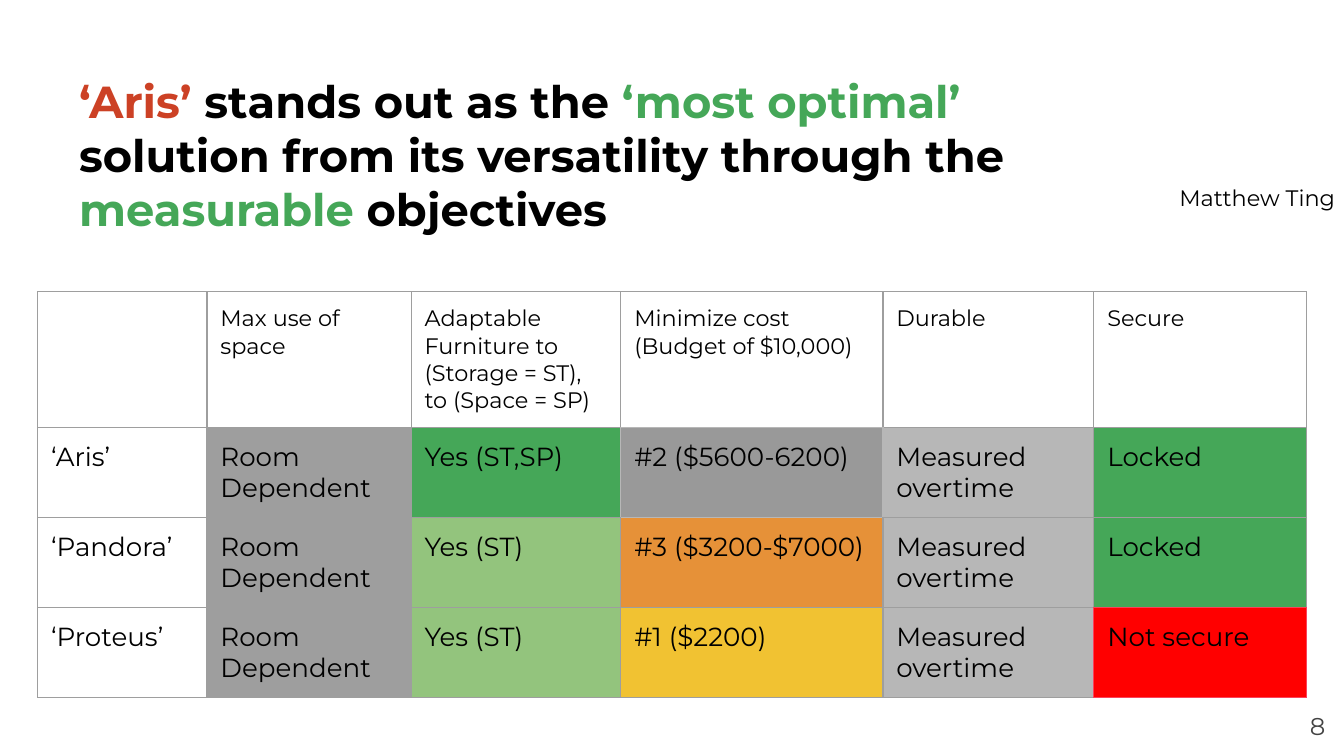
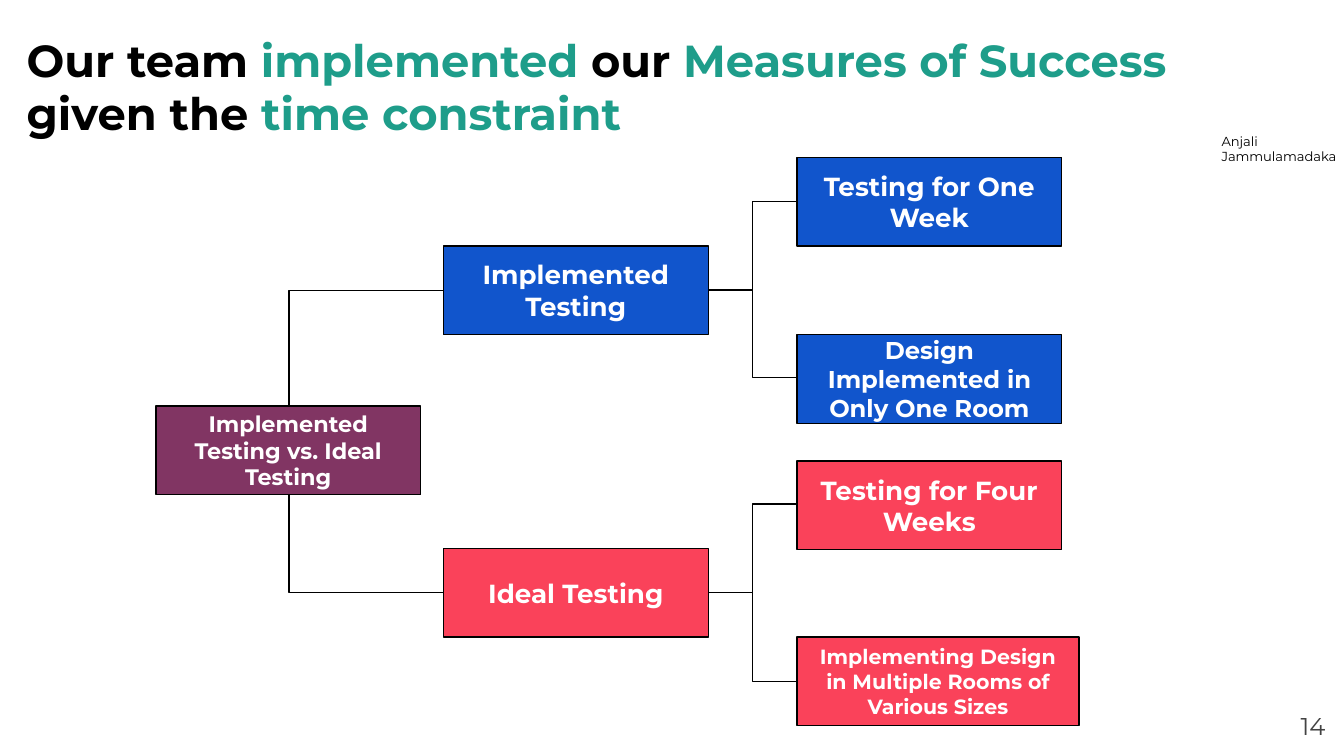
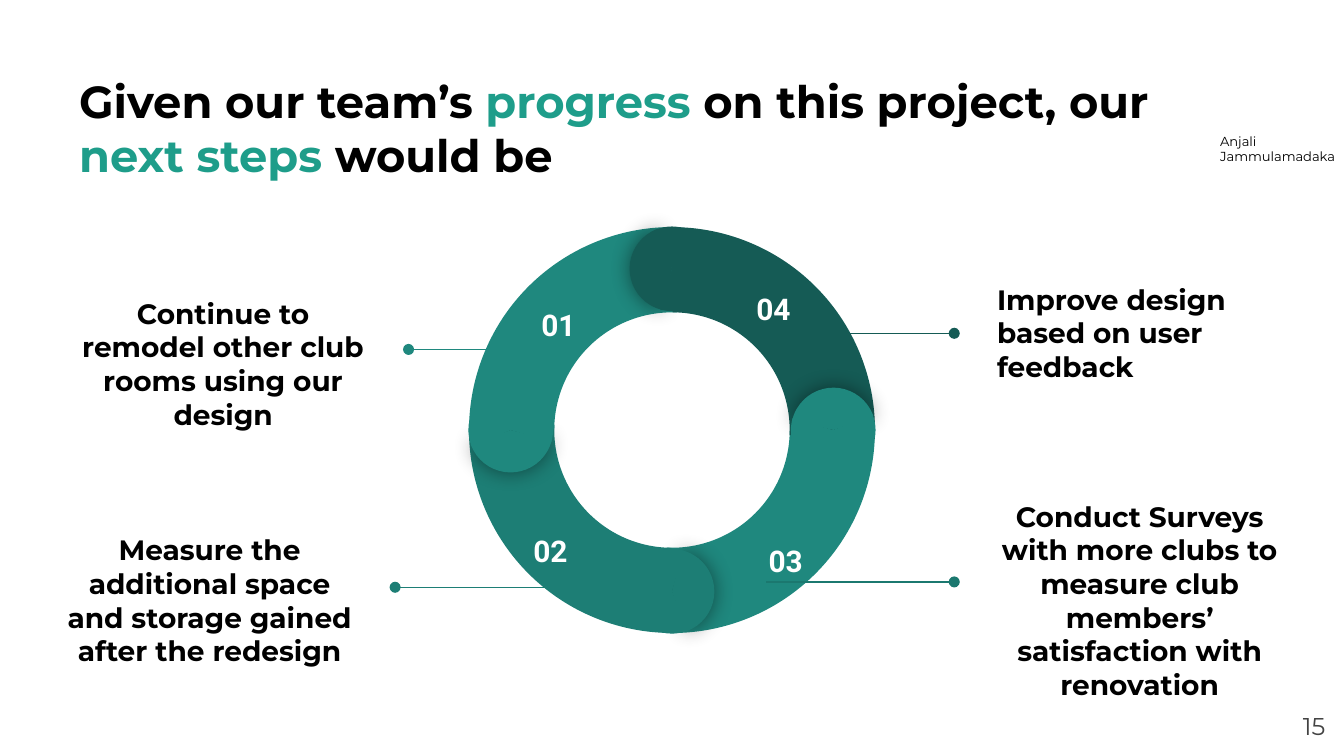
import math

import pptx
import pptx.util
import pptx.dml.color
import pptx.enum.shapes
import pptx.enum.text
import pptx.oxml
import pptx.oxml.ns
from lxml import etree

Inches = pptx.util.Inches
Pt = pptx.util.Pt
qn = pptx.oxml.ns.qn
color = pptx.dml.color.RGBColor.from_string
SHAPE = pptx.enum.shapes.MSO_SHAPE
CONNECTOR = pptx.enum.shapes.MSO_CONNECTOR
ALIGN = pptx.enum.text.PP_ALIGN
ANCHOR = pptx.enum.text.MSO_ANCHOR

BLACK, WHITE, DARK_GREY = "000000", "FFFFFF", "434343"
GREEN, TEAL, RUST = "45A758", "1E9D8A", "CC4125"
BLUE, CORAL, PLUM = "1155CC", "FA425A", "813563"
MID_GREY, STEEL, SILVER = "9E9E9E", "999999", "B7B7B7"
LIME, ORANGE, YELLOW, RED = "93C47D", "E69138", "F1C232", "FF0000"


def write(frame, lines, size, align=ALIGN.LEFT, bold=False, font="Montserrat", anchor=ANCHOR.TOP):
    frame.word_wrap = True
    frame.vertical_anchor = anchor
    frame.margin_left = frame.margin_right = Inches(0.1)
    frame.margin_top = frame.margin_bottom = Inches(0.1)
    for index, runs in enumerate(lines):
        paragraph = frame.add_paragraph() if index else frame.paragraphs[0]
        paragraph.alignment = align
        paragraph.font.name = font
        paragraph.font.size = Pt(size)
        paragraph.font.bold = bold
        for words, hue in runs:
            run = paragraph.add_run()
            run.text = words
            styled = run if len(runs) > 1 else paragraph
            styled.font.color.rgb = color(hue)


def connect(slide, kind, start, end, hue):
    link = slide.shapes.add_connector(kind, *map(Inches, start + end))
    link.line.color.rgb = color(hue)
    link.line.width = Pt(0.75)
    etree.SubElement(link._element.spPr, qn("a:effectLst"))
    return link


deck = pptx.Presentation()
deck.slide_width = Inches(10)
deck.slide_height = deck.slide_width * 9 // 16

openings = [
    ((0.49, 0.45, 8.09, 0.61), "8", "Matthew Ting", (8.22, 1.27, 2.27, 0.4), 12, ALIGN.CENTER,
     [("‘Aris’", RUST), (" stands out as the ", BLACK), ("‘most optimal’ ", GREEN),
      ("solution from its versatility through the ", BLACK), ("measurable", GREEN),
      (" objectives", BLACK)]),
    ((0.1, 0.14, 9.58, 0.7), "14", "Anjali Jammulamadaka", (8.99, 0.9, 1.18, 0.19), 7, ALIGN.LEFT,
     [("Our team ", BLACK), ("implemented", TEAL), (" our ", BLACK),
      ("Measures of Success", TEAL), (" given the ", BLACK), ("time constraint", TEAL)]),
    ((0.49, 0.45, 9.01, 0.61), "15", "Anjali Jammulamadaka", (8.98, 0.9, 1.18, 0.19), 7, ALIGN.LEFT,
     [("Given our team’s ", BLACK), ("progress ", TEAL), ("on this project, our ", BLACK),
      ("next steps", TEAL), (" would be", BLACK)]),
]
for title_box, number, presenter, presenter_box, presenter_size, presenter_align, title in openings:
    slide = deck.slides.add_slide(deck.slide_layouts[6])
    heading = slide.shapes.add_textbox(*map(Inches, title_box))
    write(heading.text_frame, [title], 24, bold=True)
    page = slide.shapes.add_textbox(*map(Inches, (9.36, 5.19, 0.6, 0.43)))
    write(page.text_frame, [[(number, DARK_GREY)]], 13, ALIGN.RIGHT)
    credit = slide.shapes.add_textbox(*map(Inches, presenter_box))
    write(credit.text_frame, [[(presenter, BLACK)]], presenter_size, presenter_align)

comparison_slide, testing_slide, next_steps_slide = deck.slides

ROOM, OVERTIME = ("Room\nDependent", MID_GREY), ("Measured overtime", SILVER)
criteria = [
    [("", None), ("Max use of space", None),
     ("Adaptable Furniture to (Storage = ST), to (Space = SP)", None),
     ("Minimize cost (Budget of $10,000)", None), ("Durable", None), ("Secure", None)],
    [("‘Aris’", None), ("Room Dependent", MID_GREY), ("Yes (ST,SP)", GREEN),
     ("#2 ($5600-6200)", STEEL), OVERTIME, ("Locked", GREEN)],
    [("‘Pandora’", None), ROOM, ("Yes (ST)", LIME), ("#3 ($3200-$7000)", ORANGE),
     OVERTIME, ("Locked", GREEN)],
    [("‘Proteus’", None), ROOM, ("Yes (ST)", LIME), ("#1 ($2200)", YELLOW),
     OVERTIME, ("Not secure", RED)],
]
column_widths = [1.26, 1.52, 1.56, 1.95, 1.57, 1.58]
row_heights = [1.01, 0.67, 0.67, 0.67]
accent_borders = {(1, 3): SILVER, (3, 5): CORAL}
sides = {"a:lnL": (0, -1), "a:lnR": (0, 1), "a:lnT": (-1, 0), "a:lnB": (1, 0)}

table = comparison_slide.shapes.add_table(
    len(row_heights), len(column_widths), Inches(0.28), Inches(2.17),
    Inches(sum(column_widths)), Inches(sum(row_heights))).table
table.first_row = False
table.horz_banding = False
for column, width in zip(table.columns, column_widths):
    column.width = Inches(width)
for row, height in zip(table.rows, row_heights):
    row.height = Inches(height)
for r, entries in enumerate(criteria):
    for c, (words, fill) in enumerate(entries):
        cell = table.cell(r, c)
        cell.margin_top = cell.margin_bottom = Inches(0.1)
        if words:
            lines = [[(line, BLACK)] for line in words.split("\n")]
            write(cell.text_frame, lines, 14 if r else 12)
        properties = cell._tc.get_or_add_tcPr()
        for side, (down, across) in sides.items():
            neighbour_hue = accent_borders.get((r + down, c + across), MID_GREY)
            border = etree.SubElement(properties, qn(side), w=str(Pt(0.75)))
            border_fill = etree.SubElement(border, qn("a:solidFill"))
            etree.SubElement(border_fill, qn("a:srgbClr"),
                             val=accent_borders.get((r, c), neighbour_hue))
        if fill:
            cell.fill.solid()
            cell.fill.fore_color.rgb = color(fill)
        else:
            cell.fill.background()

branches = [
    ("Implemented Testing vs. Ideal Testing", 1.16, 3.02, 1.97, PLUM, 12),
    ("Implemented Testing", 3.3, 1.83, 1.97, BLUE, 14),
    ("Ideal Testing", 3.3, 4.08, 1.97, CORAL, 14),
    ("Testing for One Week", 5.93, 1.17, 1.97, BLUE, 14),
    ("Design Implemented in Only One Room", 5.93, 2.49, 1.97, BLUE, 13),
    ("Testing for Four Weeks", 5.93, 3.43, 1.97, CORAL, 14),
    ("Implementing Design in Multiple Rooms of Various Sizes", 5.93, 4.74, 2.1, CORAL, 11),
]
for words, left, top, width, fill, size in branches:
    branch = testing_slide.shapes.add_shape(
        SHAPE.FLOWCHART_PROCESS, *map(Inches, (left, top, width, 0.66)))
    branch.shadow.inherit = False
    branch.fill.solid()
    branch.fill.fore_color.rgb = color(fill)
    branch.line.color.rgb = color(BLACK)
    branch.line.width = Pt(0.75)
    write(branch.text_frame, [[(words, WHITE)]], size, ALIGN.CENTER, True, anchor=ANCHOR.MIDDLE)

for root_edge, middle, leaves in [(3.02, 2.16, (1.5, 2.81)), (3.68, 4.41, (3.75, 5.07))]:
    trunk = connect(testing_slide, CONNECTOR.ELBOW, (3.3, middle), (2.15, root_edge), BLACK)
    trunk._element.spPr.find(qn("a:prstGeom")).set("prst", "bentConnector2")
    for leaf in leaves:
        connect(testing_slide, CONNECTOR.ELBOW, (5.27, middle), (5.93, leaf), BLACK)

CENTER_X, CENTER_Y, RING, CAP, CAP_ORBIT = 5, 3.2, 3.02, 0.63, 1.2
SEA, PINE, DEEP = "1F887E", "1D7E75", "155B55"
steps = [
    ("03", 90, SEA, (5.57, 3.94)),
    ("02", 180, PINE, (3.82, 3.86)),
    ("01", 270, SEA, (3.88, 2.18)),
    ("04", 0, DEEP, (5.48, 2.06)),
]
ring_parts = [
    (SHAPE.BLOCK_ARC, CENTER_X, CENTER_Y, RING, turn + 60, (126.2, 181.5, 0.21), fill, False)
    for number, turn, fill, spot in steps]
for number, turn, fill, spot in steps:
    cap_x = CENTER_X + CAP_ORBIT * math.sin(math.radians(turn))
    cap_y = CENTER_Y - CAP_ORBIT * math.cos(math.radians(turn))
    ring_parts += [
        (SHAPE.PIE, cap_x, cap_y, CAP, turn + 0.7, (61.9, 149.96), fill, True),
        (SHAPE.PIE, cap_x, cap_y, CAP, turn + 180, (40.28, 171.84), fill, False)]
for outline, x, y, size, turn, adjustments, fill, shaded in ring_parts:
    part = next_steps_slide.shapes.add_shape(
        outline, *map(Inches, (x - size / 2, y - size / 2, size, size)))
    part.rotation = turn % 360
    for index, value in enumerate(adjustments):
        part.adjustments[index] = value
    part.fill.solid()
    part.fill.fore_color.rgb = color(fill)
    part.line.fill.background()
    part.shadow.inherit = False
    if shaded:
        effects = part._element.spPr.find(qn("a:effectLst"))
        shade = etree.SubElement(effects, qn("a:outerShdw"), blurRad=str(Pt(11.2)),
                                 dist="0", dir="0", algn="ctr", rotWithShape="0")
        tint = etree.SubElement(shade, qn("a:srgbClr"), val=BLACK)
        etree.SubElement(tint, qn("a:alpha"), val="43000")
for number, turn, fill, spot in steps:
    label = next_steps_slide.shapes.add_textbox(*map(Inches, spot + (0.55, 0.29)))
    write(label.text_frame, [[(number, WHITE)]], 16, ALIGN.CENTER, True, "Roboto")

callouts = [
    ("Continue to remodel other club rooms using our design",
     0.5, 2, ALIGN.CENTER, 4.18, 3.04, 2.6, SEA),
    ("Measure the additional space and storage gained after the redesign",
     0.4, 3.76, ALIGN.CENTER, 4.37, 2.94, 4.37, PINE),
    ("Improve design based on user feedback",
     7.32, 1.77, ALIGN.LEFT, 5.7, 7.1, 2.48, DEEP),
    ("Conduct Surveys with more clubs to measure club members’ satisfaction with renovation",
     7.32, 3.76, ALIGN.CENTER, 5.7, 7.1, 4.33, "1B786F"),
]
for words, left, top, align, ring_end, dot_end, level, hue in callouts:
    callout = next_steps_slide.shapes.add_textbox(*map(Inches, (left, top, 2.32, 1.41)))
    write(callout.text_frame, [[(words, BLACK)]], 15, align, True, anchor=ANCHOR.MIDDLE)
    leader = connect(next_steps_slide, CONNECTOR.STRAIGHT, (ring_end, level), (dot_end, level), hue)
    etree.SubElement(leader._element.spPr.find(qn("a:ln")), qn("a:tailEnd"), type="oval")

deck.save("out.pptx")
